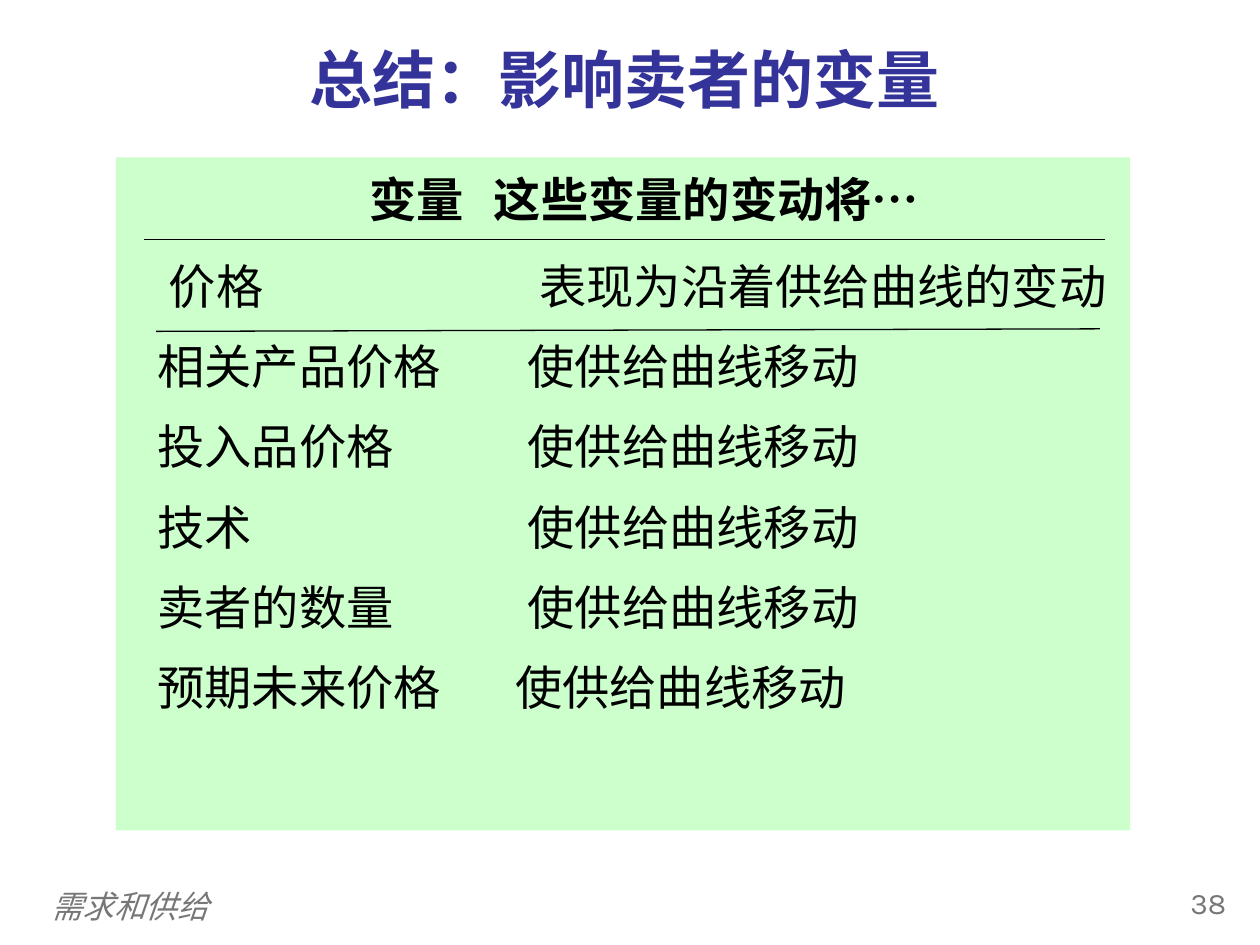
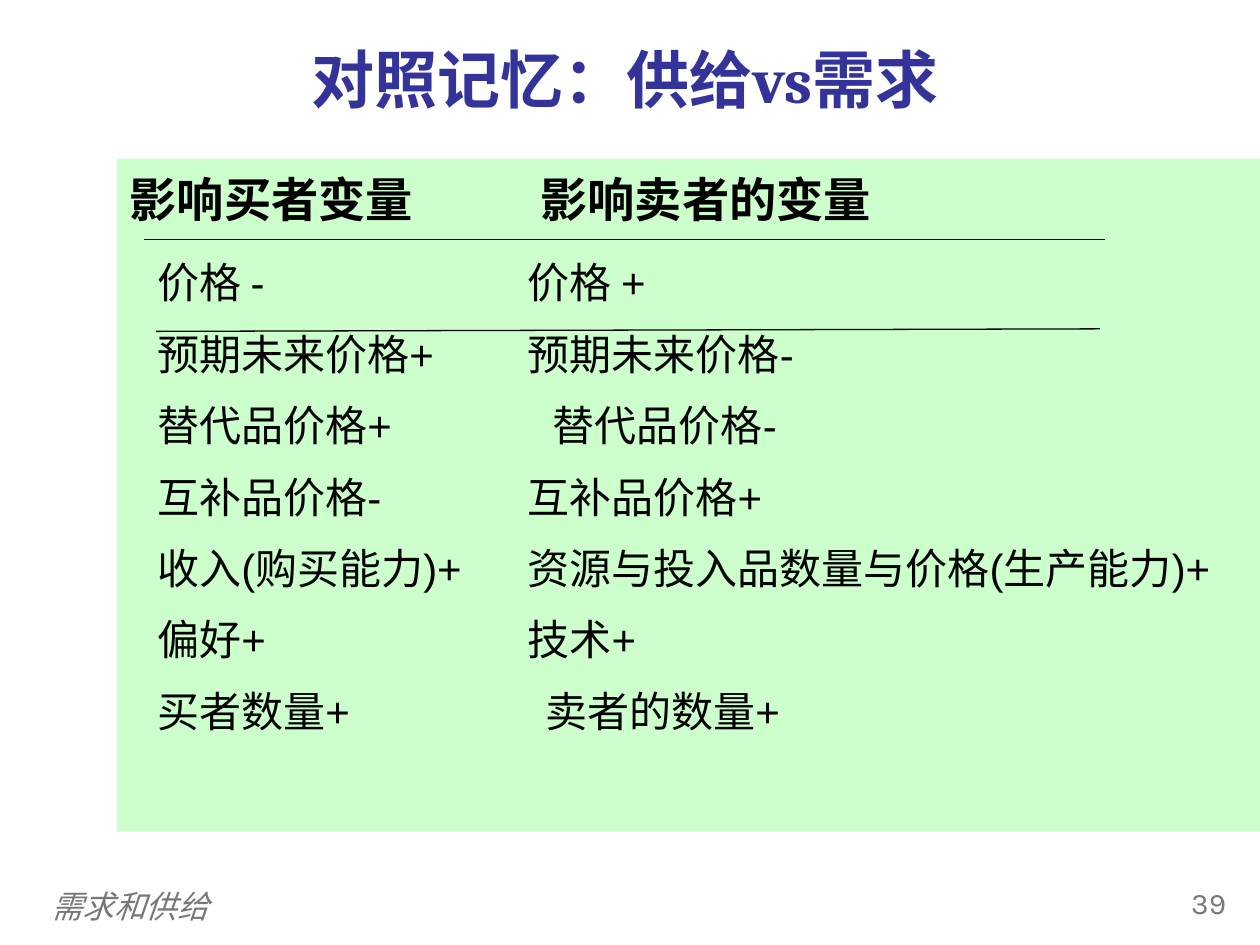
from dataclasses import dataclass

from lxml.etree import SubElement
from pptx import Presentation
from pptx.dml.color import RGBColor
from pptx.enum.shapes import MSO_CONNECTOR, MSO_SHAPE
from pptx.enum.text import MSO_ANCHOR, MSO_AUTO_SIZE, PP_ALIGN
from pptx.oxml.ns import qn
from pptx.util import Inches, Pt


@dataclass(frozen=True)
class Theme:
    """Colours, fonts, type sizes and the common tab stop."""

    title_color: str = "333399"
    text_color: str = "000000"
    footer_color: str = "777777"
    panel_color: str = "CCFFCC"
    title_font: str = "Cambria"
    body_font: str = "Arial"
    number_font: str = "Karla"
    title_size: int = 36
    header_size: int = 27
    footer_size: int = 18
    number_size: int = 17
    column_tab: float = 2.94


THEME = Theme()

SUPPLY_ROWS = [
    {"text": "价格\t表现为沿着供给曲线的变动", "align": PP_ALIGN.CENTER},
    {"text": "相关产品价格\t使供给曲线移动"},
    {"text": "投入品价格\t使供给曲线移动"},
    {"text": "技术\t使供给曲线移动"},
    {"text": "卖者的数量\t使供给曲线移动"},
    {"text": "预期未来价格\t使供给曲线移动", "tab": 2.84},
]

COMPARISON_ROWS = [
    {"text": "价格 -\t价格 +"},
    {"text": "预期未来价格+\t预期未来价格-"},
    {"text": "替代品价格+\t替代品价格-", "tab": 3.14},
    {"text": "互补品价格-\t互补品价格+"},
    {"text": "收入(购买能力)+\t资源与投入品数量与价格(生产能力)+"},
    {"text": "偏好+\t技术+"},
    {"text": "买者数量+\t卖者的数量+", "tab": 3.08},
]


def write_text(paragraph, text, *, size, color=THEME.text_color, font=THEME.body_font,
               bold=False, italic=False, align=PP_ALIGN.LEFT, tab=None,
               space_before=0, line_spacing=None):
    """Write one formatted run into a paragraph."""
    paragraph.alignment = align
    paragraph.space_before = Pt(space_before)
    if line_spacing:
        paragraph.line_spacing = line_spacing
    if tab:
        tab_list = SubElement(paragraph._p.get_or_add_pPr(), qn("a:tabLst"))
        SubElement(tab_list, qn("a:tab"), pos=str(Inches(tab)), algn="l")
    run = paragraph.add_run()
    run.text = text
    run.font.name = font
    run.font.size = Pt(size)
    run.font.bold = bold
    run.font.italic = italic
    run.font.color.rgb = RGBColor.from_string(color)


def place(shape, left, top, width, height):
    """Set the position and size of a shape in inches."""
    shape.left, shape.top = Inches(left), Inches(top)
    shape.width, shape.height = Inches(width), Inches(height)


def prepare_frame(shape, anchor=MSO_ANCHOR.TOP):
    """Make the text frame wrap at a fixed size and return it."""
    frame = shape.text_frame
    frame.word_wrap = True
    frame.auto_size = MSO_AUTO_SIZE.NONE
    frame.vertical_anchor = anchor
    return frame


def add_text_box(slide, box, rows, anchor=MSO_ANCHOR.TOP, gap=0, **style):
    """Add a text box with one paragraph for each row."""
    shape = slide.shapes.add_textbox(*map(Inches, box))
    frame = prepare_frame(shape, anchor)
    for index, row in enumerate(rows):
        paragraph = frame.add_paragraph() if index else frame.paragraphs[0]
        write_text(paragraph, **{**style, "space_before": gap if index else 0, **row})


def add_title(slide, text):
    """Place and fill the title placeholder."""
    title = slide.shapes.title
    place(title, 0.06, 0.28, 9.8, 0.69)
    frame = prepare_frame(title, MSO_ANCHOR.MIDDLE)
    write_text(frame.paragraphs[0], text, size=THEME.title_size, color=THEME.title_color,
               font=THEME.title_font, bold=True, align=PP_ALIGN.CENTER)


def add_footer(slide, number):
    """Add the chapter name and the page number."""
    add_text_box(slide, (0.31, 6.99, 8.02, 0.4), [{"text": "需求和供给"}],
                 anchor=MSO_ANCHOR.MIDDLE, size=THEME.footer_size,
                 color=THEME.footer_color, italic=True)
    add_text_box(slide, (9.08, 6.97, 0.75, 0.4), [{"text": str(number)}],
                 size=THEME.number_size, color=THEME.footer_color,
                 font=THEME.number_font, align=PP_ALIGN.RIGHT)


def add_panel(slide, box):
    """Add the plain coloured panel behind the columns."""
    panel = slide.shapes.add_shape(MSO_SHAPE.RECTANGLE, *map(Inches, box))
    panel.shadow.inherit = False
    panel.fill.solid()
    panel.fill.fore_color.rgb = RGBColor.from_string(THEME.panel_color)
    panel.line.fill.background()


def add_rule(slide, *ends):
    """Add a thin line between two points."""
    rule = slide.shapes.add_connector(MSO_CONNECTOR.STRAIGHT, *map(Inches, ends))
    rule.line.width = Pt(0.75)
    rule.line.color.rgb = RGBColor.from_string(THEME.text_color)
    SubElement(rule._element.spPr, qn("a:effectLst"))


def add_variables_slide(presentation, number, title, panel, header, rows, row_size):
    """Add a slide that lists variables in two columns."""
    slide = presentation.slides.add_slide(presentation.slide_layouts[5])
    add_footer(slide, number)
    add_panel(slide, panel)
    add_title(slide, title)
    add_text_box(slide, (0.93, 1.28, 8.45, 0.59), [header],
                 size=THEME.header_size, bold=True, line_spacing=1.05)
    panel_right = panel[0] + panel[2]
    add_text_box(slide, (1.15, 1.99, panel_right - 1.15, 4.44), rows,
                 gap=row_size / 2, size=row_size, tab=THEME.column_tab)
    add_rule(slide, 1.14, 1.9, 8.77, 1.9)
    add_rule(slide, 1.24, 2.63, 8.73, 2.61)


def main():
    """Build and save the presentation."""
    presentation = Presentation()
    presentation.slide_width, presentation.slide_height = Inches(10), Inches(7.5)
    add_variables_slide(
        presentation, 38, "总结：影响卖者的变量", (0.92, 1.25, 8.05, 5.34),
        {"text": "变量\t这些变量的变动将… ", "align": PP_ALIGN.CENTER, "tab": 0.99},
        SUPPLY_ROWS, 27)
    add_variables_slide(
        presentation, 39, "对照记忆：供给vs需求", (0.93, 1.26, 9.07, 5.34),
        {"text": "影响买者变量\t影响卖者的变量", "tab": 3.26},
        COMPARISON_ROWS, 24)
    presentation.save("out.pptx")


if __name__ == "__main__":
    main()
